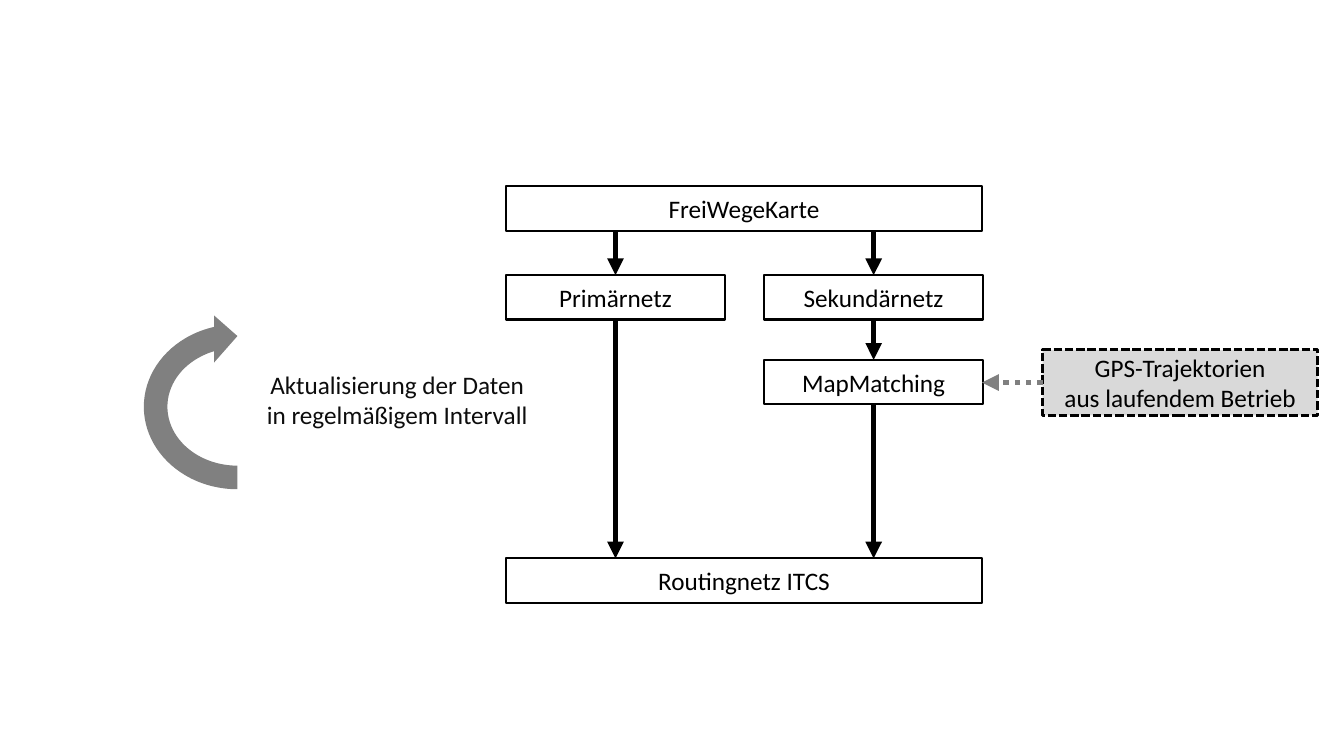
from lxml import etree
from pptx import Presentation
from pptx.dml.color import RGBColor
from pptx.enum.dml import MSO_LINE
from pptx.enum.shapes import MSO_CONNECTOR, MSO_SHAPE
from pptx.enum.text import MSO_ANCHOR, MSO_AUTO_SIZE, PP_ALIGN
from pptx.oxml.ns import qn
from pptx.util import Inches, Pt

BLACK = RGBColor(0x00, 0x00, 0x00)
NEAR_BLACK = RGBColor(0x0D, 0x0D, 0x0D)
GRAY = RGBColor(0x80, 0x80, 0x80)
LIGHT_GRAY = RGBColor(0xD9, 0xD9, 0xD9)
RECTANGLE, CYCLE = MSO_SHAPE.RECTANGLE, MSO_SHAPE.CIRCULAR_ARROW
STRAIGHT = MSO_CONNECTOR.STRAIGHT
DASH, DOT = MSO_LINE.SQUARE_DOT, MSO_LINE.ROUND_DOT
CENTER, MIDDLE = PP_ALIGN.CENTER, MSO_ANCHOR.MIDDLE
FIT_SHAPE = MSO_AUTO_SIZE.SHAPE_TO_FIT_TEXT
DASH_NAMES = {DASH: "sysDash", DOT: "sysDot"}

# Left, top, width and height in inches
LEFT, RIGHT = 5.02, 7.58
WIDE, NARROW, HEIGHT = 4.72, 2.17, 0.44
STEPS = {
    "FreiWegeKarte": (LEFT, 1.85, WIDE, HEIGHT),
    "Routingnetz ITCS": (LEFT, 5.54, WIDE, HEIGHT),
    "Primärnetz": (LEFT, 2.73, NARROW, HEIGHT),
    "Sekundärnetz": (RIGHT, 2.73, NARROW, HEIGHT),
    "MapMatching": (RIGHT, 3.57, NARROW, HEIGHT),
}
COLUMNS = [
    (LEFT, ["FreiWegeKarte", "Primärnetz", "Routingnetz ITCS"]),
    (RIGHT, ["FreiWegeKarte", "Sekundärnetz", "MapMatching", "Routingnetz ITCS"]),
]
GPS_TEXT = "GPS-Trajektorien\vaus laufendem Betrieb"
GPS_BOX = (10.34, 3.47, 2.73, 0.65)
UPDATE_TEXT = "Aktualisierung der Daten\vin regelmäßigem Intervall"
UPDATE_BOX = (2.53, 3.61, 2.82, 0.71)
CYCLE_BOX = (1.42, 2.99, 1.87, 2.09)


def inches(values):
    return [Inches(value) for value in values]


def write(shape, text, color):
    frame = shape.text_frame
    frame.text = text
    frame.vertical_anchor = MIDDLE
    paragraph = frame.paragraphs[0]
    paragraph.alignment = CENTER
    for run in paragraph.runs:
        for attribute, value in {"name": "Calibri", "size": Pt(18)}.items():
            setattr(run.font, attribute, value)
        run.font.color.rgb = color


def style_line(line, color, width, dash=None):
    line.color.rgb = color
    line.width = Pt(width)
    if dash is not None:
        line.dash_style = dash
        line._ln.find(qn("a:prstDash")).set("val", DASH_NAMES[dash])


def add_box(slide, text, box, fill=None, width=1.5, dash=None):
    shape = slide.shapes.add_shape(RECTANGLE, *inches(box))
    shape.shadow.inherit = False
    if fill is None:
        shape.fill.background()
    else:
        shape.fill.solid()
        shape.fill.fore_color.rgb = fill
    style_line(shape.line, BLACK, width, dash)
    write(shape, text, BLACK)


def add_arrow(slide, start, end, color=BLACK, dash=None):
    arrow = slide.shapes.add_connector(STRAIGHT, *inches(start + end))
    style_line(arrow.line, color, 4, dash)
    etree.SubElement(arrow.line._ln, qn("a:tailEnd"), type="triangle")
    etree.SubElement(arrow._element.spPr, qn("a:effectLst"))


def add_update_cycle(slide):
    cycle = slide.shapes.add_shape(CYCLE, *inches(CYCLE_BOX))
    cycle.shadow.inherit = False
    cycle.rotation = 270
    cycle.fill.solid()
    cycle.fill.fore_color.rgb = GRAY
    cycle.line.fill.background()

    label = slide.shapes.add_textbox(*inches(UPDATE_BOX))
    write(label, UPDATE_TEXT, NEAR_BLACK)
    label.text_frame.word_wrap = False
    label.text_frame.auto_size = FIT_SHAPE


def main():
    deck = Presentation()
    deck.slide_width, deck.slide_height = Inches(13.33), Inches(7.5)
    slide = deck.slides.add_slide(deck.slide_layouts[6])

    for text, box in STEPS.items():
        add_box(slide, text, box)
    for column_left, names in COLUMNS:
        x = column_left + NARROW / 2
        for upper, lower in zip(names, names[1:]):
            add_arrow(slide, (x, STEPS[upper][1] + HEIGHT), (x, STEPS[lower][1]))

    add_box(slide, GPS_TEXT, GPS_BOX, LIGHT_GRAY, 2, DASH)
    gps_left, gps_top, _, gps_height = GPS_BOX
    gps_y = gps_top + gps_height / 2
    add_arrow(slide, (gps_left, gps_y), (LEFT + WIDE, gps_y), GRAY, DOT)

    add_update_cycle(slide)
    deck.save("out.pptx")


if __name__ == "__main__":
    main()
